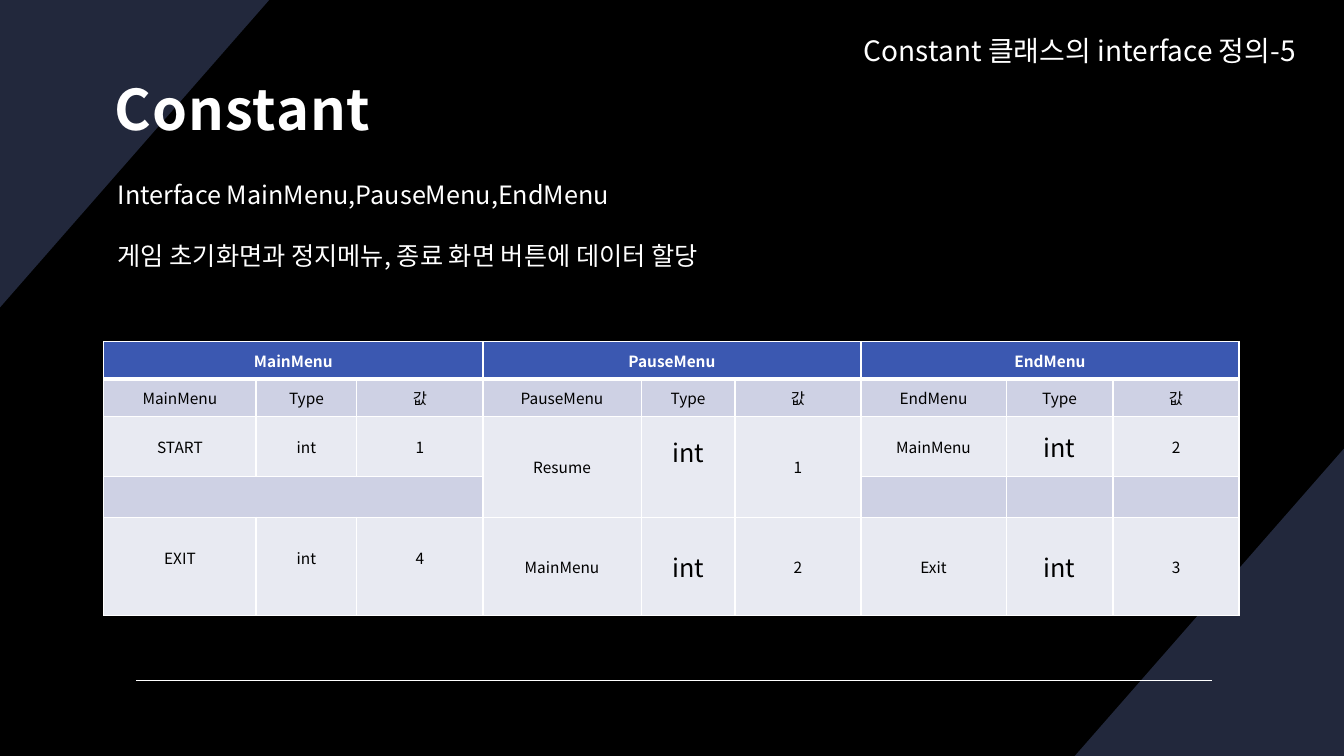
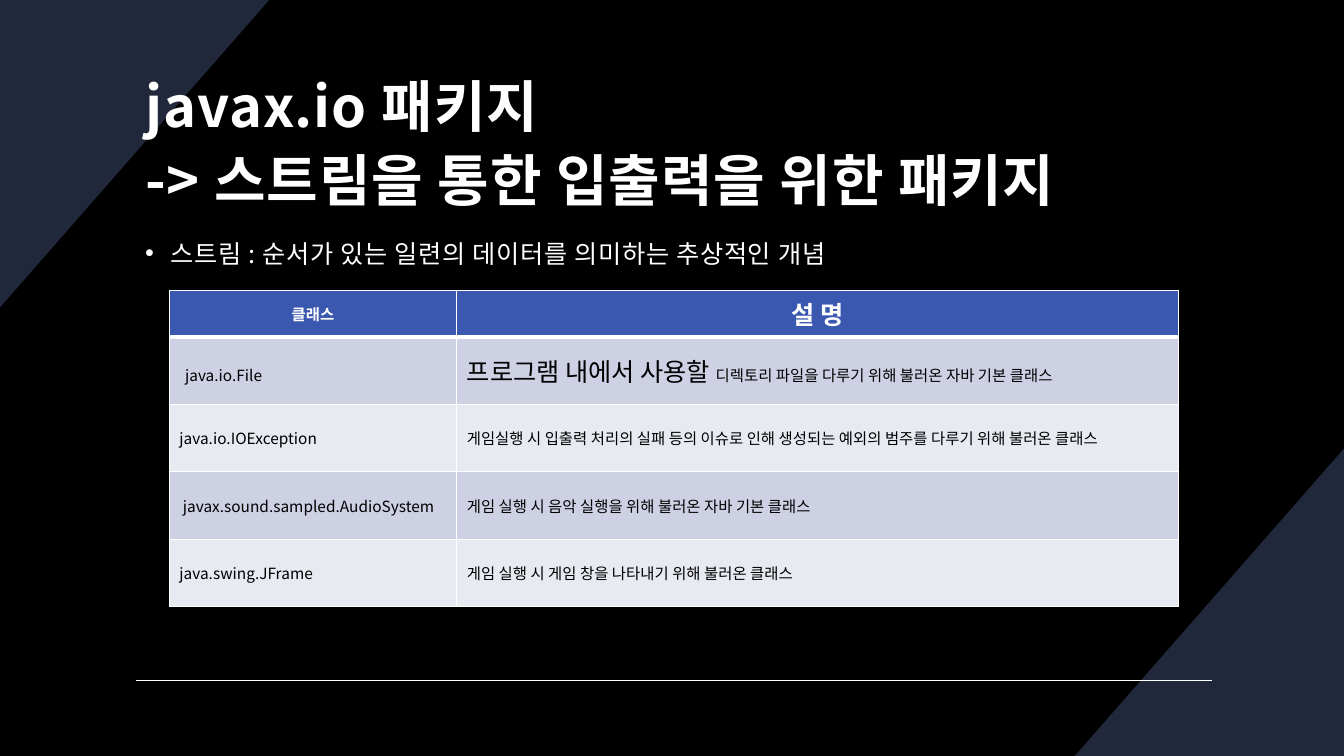
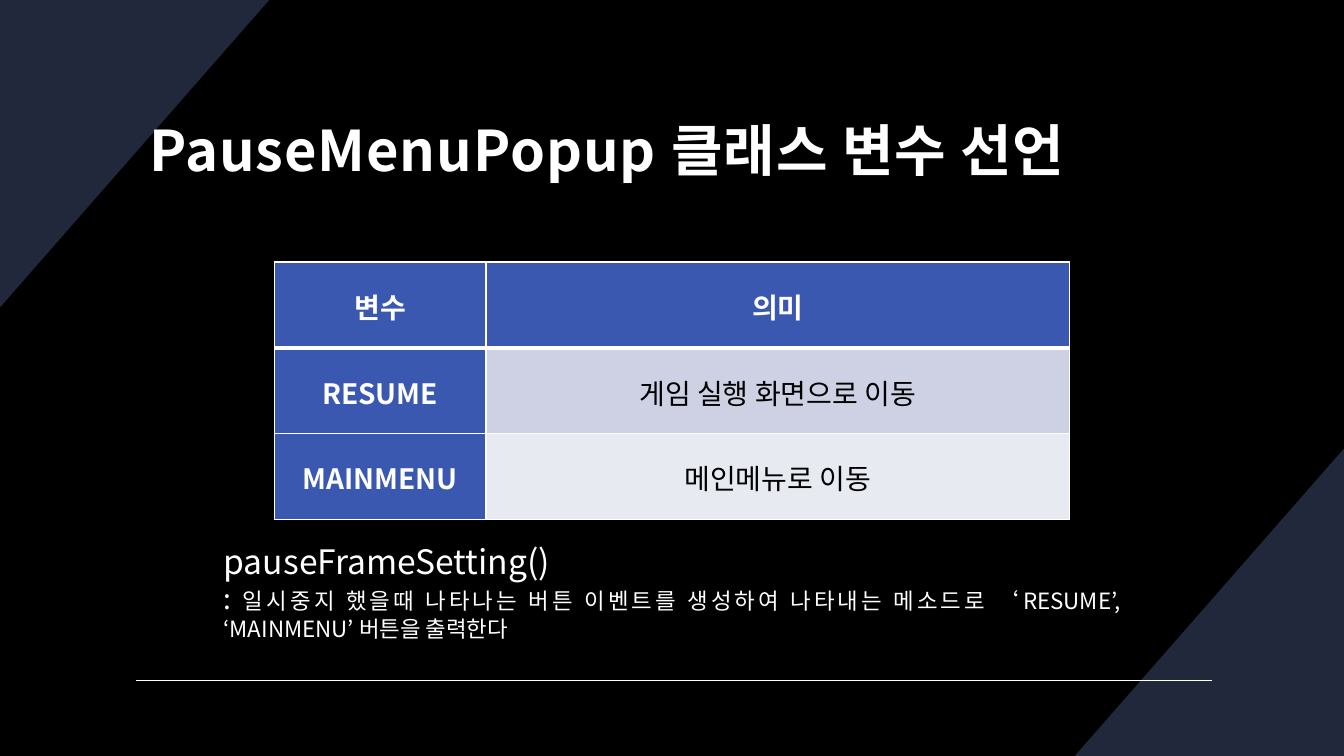
from lxml.etree import SubElement
from pptx import Presentation
from pptx.dml.color import RGBColor
from pptx.enum.shapes import MSO_CONNECTOR
from pptx.enum.text import MSO_ANCHOR, MSO_AUTO_SIZE, PP_ALIGN
from pptx.oxml.ns import qn
from pptx.util import Inches, Pt

FONT = "Noto Sans CJK KR"
INK = {"back": "000000", "band": "22283C", "white": "FFFFFF", "black": "000000",
       "head": "3B58B1", "odd": "CED1E4", "even": "E8EAF2"}
WIDE, HIGH = 13.33, 7.5


def color(name):
    return RGBColor.from_string(INK[name])


# Text helpers
def add_run(para, text, size, ink="white", bold=False, spc=0):
    run = para.add_run()
    run.text = text
    font = run.font
    font.name, font.size, font.bold = FONT, Pt(size), bold
    font.color.rgb = color(ink)
    props = run._r.get_or_add_rPr()
    SubElement(props, qn("a:ea"), typeface=FONT)
    if spc:
        props.set("spc", str(round(spc * 100)))


def place(shape, box):
    shape.left, shape.top, shape.width, shape.height = map(Inches, box)


def set_holder(holder, box, anchor):
    place(holder, box)
    frame = holder.text_frame
    frame.word_wrap, frame.auto_size = True, MSO_AUTO_SIZE.NONE
    frame.vertical_anchor = anchor
    frame.margin_left = frame.margin_right = frame.margin_top = Inches(0.12)
    frame.margin_bottom = Inches(0.1)
    para = frame.paragraphs[0]
    para.alignment = PP_ALIGN.LEFT
    return para


def add_title(slide, box, *lines):
    para = set_holder(slide.shapes.title, box, MSO_ANCHOR.MIDDLE)
    para.line_spacing = 1.1
    for i, line in enumerate(lines):
        if i:
            para.add_line_break()
        add_run(para, line, 40, bold=True, spc=0.7)


def add_bullet(slide, box, text):
    para = set_holder(slide.placeholders[1], box, MSO_ANCHOR.TOP)
    para.line_spacing, para.space_before = 1.2, Pt(10)
    props = para._p.get_or_add_pPr()
    props.set("marL", str(Inches(0.25)))
    props.set("indent", str(-Inches(0.25)))
    SubElement(props, qn("a:buChar"), char="•")
    add_run(para, text, 18, spc=0.5)


def add_note(slide, box, paras, align=PP_ALIGN.LEFT, gap=0):
    """Each paragraph is a list of (text, size) runs."""
    frame = slide.shapes.add_textbox(*map(Inches, box)).text_frame
    frame.word_wrap = True
    for i, runs in enumerate(paras):
        para = frame.add_paragraph() if i else frame.paragraphs[0]
        para.alignment = align
        if i and gap:
            para.space_before = Pt(gap)
        for text, size in runs:
            add_run(para, text, size)


# Tables
def set_edges(cell, top, bottom):
    props = cell._tc.get_or_add_tcPr()
    for tag, width in (("lnL", 1), ("lnR", 1), ("lnT", top), ("lnB", bottom)):
        line = SubElement(props, qn("a:" + tag), w=str(Pt(width)))
        fill = SubElement(line, qn("a:solidFill"))
        SubElement(fill, qn("a:srgbClr"), val=INK["white"])


def add_grid(slide, box, cols, rows, texts, size, merges=(), side=False,
             left=False, pad=(0.1, 0.05), line=None, after=None):
    """A cell is a string, or a list of (text, size) runs."""
    table = slide.shapes.add_table(len(rows), len(cols), *map(Inches, box)).table
    for col, width in zip(table.columns, cols):
        col.width = Inches(width)
    for row, height in zip(table.rows, rows):
        row.height = Inches(height)
    for r, row in enumerate(texts):
        for c, item in enumerate(row):
            cell = table.cell(r, c)
            head = r == 0 or (side and c == 0)
            set_edges(cell, 3 if r == 1 else 1, 3 if r == 0 else 1)
            cell.fill.solid()
            cell.fill.fore_color.rgb = color(
                "head" if head else "odd" if r % 2 else "even")
            cell.vertical_anchor = MSO_ANCHOR.MIDDLE
            cell.margin_left = cell.margin_right = Inches(pad[0])
            cell.margin_top = cell.margin_bottom = Inches(pad[1])
            para = cell.text_frame.paragraphs[0]
            para.alignment = PP_ALIGN.LEFT if left and r else PP_ALIGN.CENTER
            if line:
                para.line_spacing, para.space_after = line, Pt(after)
            if not item:
                continue
            for text, pts in [(item, size)] if isinstance(item, str) else item:
                add_run(para, text, pts, "white" if head else "black", head)
    for first, last in merges:
        table.cell(*first).merge(table.cell(*last))
    return table


# Shared background, kept on the master
def set_master(deck, slide):
    master = deck.slide_master
    master.background.fill.solid()
    master.background.fill.fore_color.rgb = color("back")
    wide, high = 2.67, 3.05
    parts = []
    for x, y, dx, dy in ((WIDE, HIGH, -wide, -high), (0, 0, wide, high)):
        pen = slide.shapes.build_freeform(Inches(x), Inches(y + dy))
        pen.add_line_segments([(Inches(x), Inches(y)),
                               (Inches(x + dx), Inches(y))], close=True)
        band = pen.convert_to_shape()
        band.shadow.inherit = False
        band.fill.solid()
        band.fill.fore_color.rgb = color("band")
        band.line.fill.background()
        parts.append(band)
    rule = slide.shapes.add_connector(
        MSO_CONNECTOR.STRAIGHT, *map(Inches, (1.35, 6.75, 12.02, 6.75)))
    rule.line.color.rgb = color("white")
    rule.line.width = Pt(1)
    SubElement(rule.element.spPr, qn("a:effectLst"))
    parts.append(rule)
    for i, part in enumerate(parts):
        master.shapes.element.insert(2 + i, part.element)


# Slides
def menu_slide(slide):
    add_title(slide, (1.02, 0, 10.83, 2.06), "Constant")
    add_note(slide, (1.07, 1.73, 11.2, 1.01),
             [[("Interface MainMenu,PauseMenu,EndMenu", 18)],
              [("게임 초기화면과 정지메뉴, 종료 화면 버튼에 데이터 할당", 18)]], gap=22)
    add_note(slide, (8.47, 0.28, 4.86, 0.74),
             [[("Constant 클래스의 interface 정의-5", 20)]])
    big = [("int", 18)]
    menus = ("MainMenu", "PauseMenu", "EndMenu")
    texts = [
        [text for menu in menus for text in (menu, "", "")],
        [text for menu in menus for text in (menu, "Type", "값")],
        ["START", "int", "1", "Resume", big, "1", "MainMenu", big, "2"],
        [""] * 9,
        ["EXIT", "int", "4", "MainMenu", big, "2", "Exit", big, "3"]]
    merges = [((0, c), (0, c + 2)) for c in (0, 3, 6)]
    merges += [((2, c), (3, c)) for c in (3, 4, 5)] + [((3, 0), (3, 2))]
    table = add_grid(slide, (1.03, 3.39, 11.27, 2.73),
                     (1.51, 1, 1.25, 1.57, 0.93, 1.25, 1.44, 1.06, 1.25),
                     (0.37, 0.37, 0.6, 0.4, 0.98), texts, 11, merges)
    # Cells set above the middle
    table.cell(2, 4).margin_bottom = Inches(0.35)
    for c in range(3):
        cell = table.cell(4, c)
        cell.vertical_anchor, cell.margin_top = MSO_ANCHOR.TOP, Inches(0.29)


def stream_slide(slide):
    add_title(slide, (1.32, 0.62, 10.83, 1.49),
              "javax.io 패키지", "-> 스트림을 통한 입출력을 위한 패키지")
    add_bullet(slide, (1.32, 2.18, 10.83, 0.6),
               "스트림 : 순서가 있는 일련의 데이터를 의미하는 추상적인 개념")
    texts = [
        ["클래스", [("설 명", 18)]],
        [[(" ", 18), ("java.io.File", 11)],
         [("프로그램 내에서 사용할 ", 18),
          ("디렉토리 파일을 다루기 위해 불러온 자바 기본 클래스", 11)]],
        ["java.io.IOException",
         "게임실행 시 입출력 처리의 실패 등의 이슈로 인해 생성되는 "
         "예외의 범주를 다루기 위해 불러온 클래스"],
        [" javax.sound.sampled.AudioSystem",
         "게임 실행 시 음악 실행을 위해 불러온 자바 기본 클래스"],
        ["java.swing.JFrame", "게임 실행 시 게임 창을 나타내기 위해 불러온 클래스"]]
    add_grid(slide, (1.68, 2.88, 10.01, 3.14), (2.85, 7.16),
             [0.46] + [0.67] * 4, texts, 11, left=True)


def popup_slide(slide):
    add_title(slide, (1.36, 0.69, 10.83, 1.49), "PauseMenuPopup 클래스 변수 선언")
    texts = [["변수", "의미"],
             ["RESUME", "게임 실행 화면으로 이동"],
             ["MAINMENU", "메인메뉴로 이동"]]
    add_grid(slide, (2.72, 2.6, 7.89, 2.55), (2.1, 5.79), [0.85] * 3, texts, 20,
             side=True, pad=(0.07, 0), line=1.07, after=8)
    add_note(slide, (2.12, 5.32, 9.09, 1.11),
             [[("pauseFrameSetting()", 24)],
              [(":", 20),
               (" 일시중지 했을때 나타나는 버튼 이벤트를 생성하여 나타내는 메소드로 "
                "‘RESUME’, ‘MAINMENU’ 버튼을 출력한다", 16)]], PP_ALIGN.JUSTIFY)


def main():
    deck = Presentation()
    deck.slide_width, deck.slide_height = Inches(WIDE), Inches(HIGH)
    pages = ((menu_slide, 5), (stream_slide, 1), (popup_slide, 5))
    for i, (build, kind) in enumerate(pages):
        slide = deck.slides.add_slide(deck.slide_layouts[kind])
        if i == 0:
            set_master(deck, slide)
        build(slide)
    deck.save("out.pptx")


if __name__ == "__main__":
    main()
